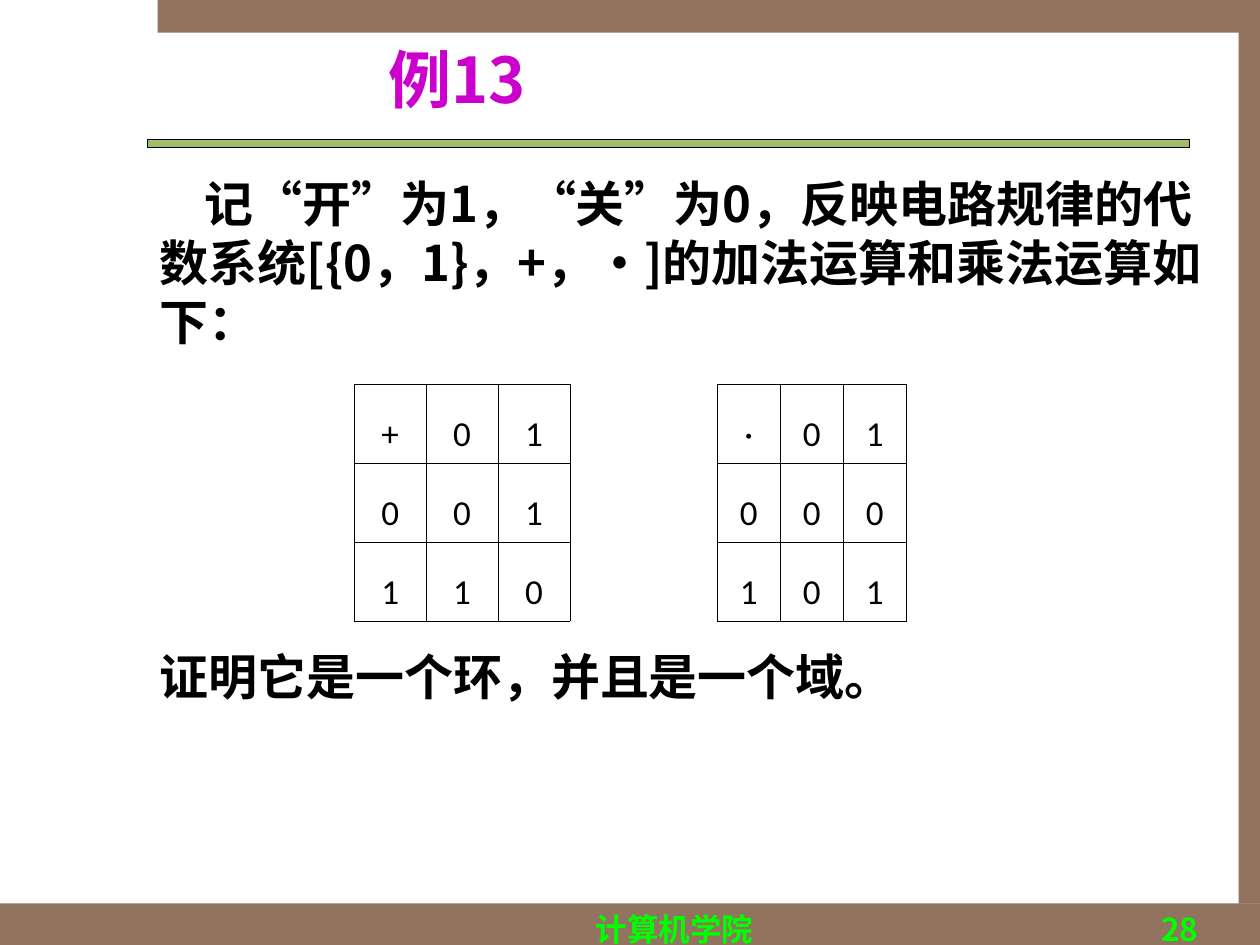
from dataclasses import dataclass
from typing import Optional

from lxml import etree
from pptx import Presentation
from pptx import util as u
from pptx.dml.color import RGBColor
from pptx.enum import shapes, text
from pptx.oxml.ns import qn


@dataclass(frozen=True)
class Theme:
    brown: str = "91735F"
    green: str = "A1BD69"
    black: str = "000000"
    purple: str = "CC00CC"
    lime: str = "00FF00"
    sans: str = "Noto Sans CJK SC"
    table_font: str = "Calibri"
    title_size: float = 36
    body_size: float = 28
    table_size: float = 20
    footer_size: float = 18
    border: float = 0.45


@dataclass(frozen=True)
class Area:
    """Left, top, width and height in centimetres."""
    left: float
    top: float
    width: float
    height: float

    def lengths(self) -> list:
        return [u.Cm(n) for n in (self.left, self.top, self.width, self.height)]


@dataclass(frozen=True)
class Bar:
    area: Area
    fill: str
    line: Optional[str] = None


@dataclass(frozen=True)
class Style:
    size: float
    color: str
    font: str = Theme.sans
    bold: bool = True
    align: text.PP_ALIGN = text.PP_ALIGN.LEFT
    indent: float = 0
    spacing: Optional[float] = None


THEME = Theme()
ALIGN = text.PP_ALIGN
BODY_LEADING, FOOTER_LEADING = 33.6, 23.4

# Frame around the page and the rule below the title
BARS = [
    Bar(Area(0, 18.21, 25.4, 0.84), THEME.brown),
    Bar(Area(3.18, 0, 22.22, 0.66), THEME.brown),
    Bar(Area(24.97, 0.64, 0.43, 17.58), THEME.brown),
    Bar(Area(2.97, 2.82, 21.01, 0.15), THEME.green, THEME.black),
]

# Addition table, gap, multiplication table
ADDITION = ["+01", "001", "110"]
MULTIPLICATION = ["·01", "000", "101"]
COLUMNS = [1.45] * 3 + [2.97] + [1.27] * 3
GAP = 3
ROW_HEIGHT = 1.59


def write(frame, content: str, style: Style) -> None:
    frame.text = content
    para = frame.paragraphs[0]
    props = para._p.get_or_add_pPr()
    props.set("marL", "0")
    props.set("indent", str(int(u.Cm(style.indent))))
    para.alignment = style.align
    para.space_before = u.Pt(0)
    if style.spacing:
        exact = style.spacing > 3  # small numbers are multiples of a line
        para.line_spacing = u.Pt(style.spacing) if exact else style.spacing
    etree.SubElement(props, qn("a:buNone"))
    for span in para.runs:
        span.font.size = u.Pt(style.size)
        span.font.bold = style.bold
        span.font.name = style.font
        span.font.color.rgb = RGBColor.from_string(style.color)
        etree.SubElement(span._r.get_or_add_rPr(), qn("a:ea"), typeface=style.font)


def place(box, area: Area, content: str, style: Style,
          anchor=text.MSO_ANCHOR.TOP) -> None:
    box.left, box.top, box.width, box.height = area.lengths()
    frame = box.text_frame
    frame.word_wrap = True
    frame.auto_size = text.MSO_AUTO_SIZE.NONE
    frame.vertical_anchor = anchor
    write(frame, content, style)


def add_text(page, area: Area, content: str, style: Style) -> None:
    place(page.shapes.add_textbox(*area.lengths()), area, content, style)


def add_bar(page, bar: Bar) -> None:
    box = page.shapes.add_shape(shapes.MSO_SHAPE.RECTANGLE, *bar.area.lengths())
    box.shadow.inherit = False
    box.fill.solid()
    box.fill.fore_color.rgb = RGBColor.from_string(bar.fill)
    if bar.line:
        box.line.color.rgb = RGBColor.from_string(bar.line)
        box.line.width = u.Pt(0.75)
    else:
        box.line.fill.background()


def set_borders(cell, sides: str) -> None:
    props = cell._tc.get_or_add_tcPr()
    for side in "LRTB":
        line = etree.SubElement(props, qn(f"a:ln{side}"), w=str(int(u.Pt(THEME.border))))
        if side in sides:
            fill = etree.SubElement(line, qn("a:solidFill"))
            etree.SubElement(fill, qn("a:srgbClr"), val=THEME.black)
        else:
            etree.SubElement(line, qn("a:noFill"))


def add_operations(page, left: float, top: float) -> None:
    rows = [a + " " + m for a, m in zip(ADDITION, MULTIPLICATION)]
    area = Area(left, top, sum(COLUMNS), ROW_HEIGHT * len(rows))
    table = page.shapes.add_table(len(rows), len(COLUMNS), *area.lengths()).table
    table.first_row = table.horz_banding = False
    for column, width in zip(table.columns, COLUMNS):
        column.width = u.Cm(width)
    style = Style(THEME.table_size, THEME.black, THEME.table_font, False,
                  ALIGN.CENTER, spacing=1.5)
    for r, row in enumerate(rows):
        table.rows[r].height = u.Cm(ROW_HEIGHT)
        for c, symbol in enumerate(row):
            cell = table.cell(r, c)
            set_borders(cell, "LR" if c == GAP else "LRTB")
            cell.fill.background()
            if c != GAP:
                cell.margin_left = cell.margin_right = u.Cm(0.2)
                cell.vertical_anchor = text.MSO_ANCHOR.MIDDLE
                write(cell.text_frame, symbol, style)
    table.cell(0, GAP).merge(table.cell(len(rows) - 1, GAP))


def main() -> None:
    deck = Presentation()
    deck.slide_width, deck.slide_height = u.Cm(25.4), u.Cm(19.05)
    page = deck.slides.add_slide(deck.slide_layouts[1])
    for bar in BARS:
        add_bar(page, bar)

    # Footer
    add_text(page, Area(8.1, 18.16, 11, 0.46), "计算机学院",
             Style(THEME.footer_size, THEME.lime, align=ALIGN.CENTER, spacing=FOOTER_LEADING))
    add_text(page, Area(19.13, 18.16, 5.28, 0.46), "28",
             Style(THEME.footer_size, THEME.lime, align=ALIGN.RIGHT, spacing=FOOTER_LEADING))

    # Title, statement, tables and conclusion
    place(page.shapes.title, Area(3.58, 0.58, 20.37, 2.01), "例13",
          Style(THEME.title_size, THEME.purple, indent=4), text.MSO_ANCHOR.MIDDLE)
    place(page.placeholders[1], Area(2.97, 3.38, 21.64, 3.81),
          "记“开”为1，“关”为0，反映电路规律的代数系统[{0，1}，+，·]的加法运算和乘法运算如下：",
          Style(THEME.body_size, THEME.black, indent=0.9, spacing=BODY_LEADING),
          text.MSO_ANCHOR.MIDDLE)
    add_operations(page, 7.14, 7.75)
    add_text(page, Area(2.97, 12.9, 21.23, 1.45), "证明它是一个环，并且是一个域。",
             Style(THEME.body_size, THEME.black, spacing=BODY_LEADING))
    deck.save("out.pptx")


if __name__ == "__main__":
    main()
